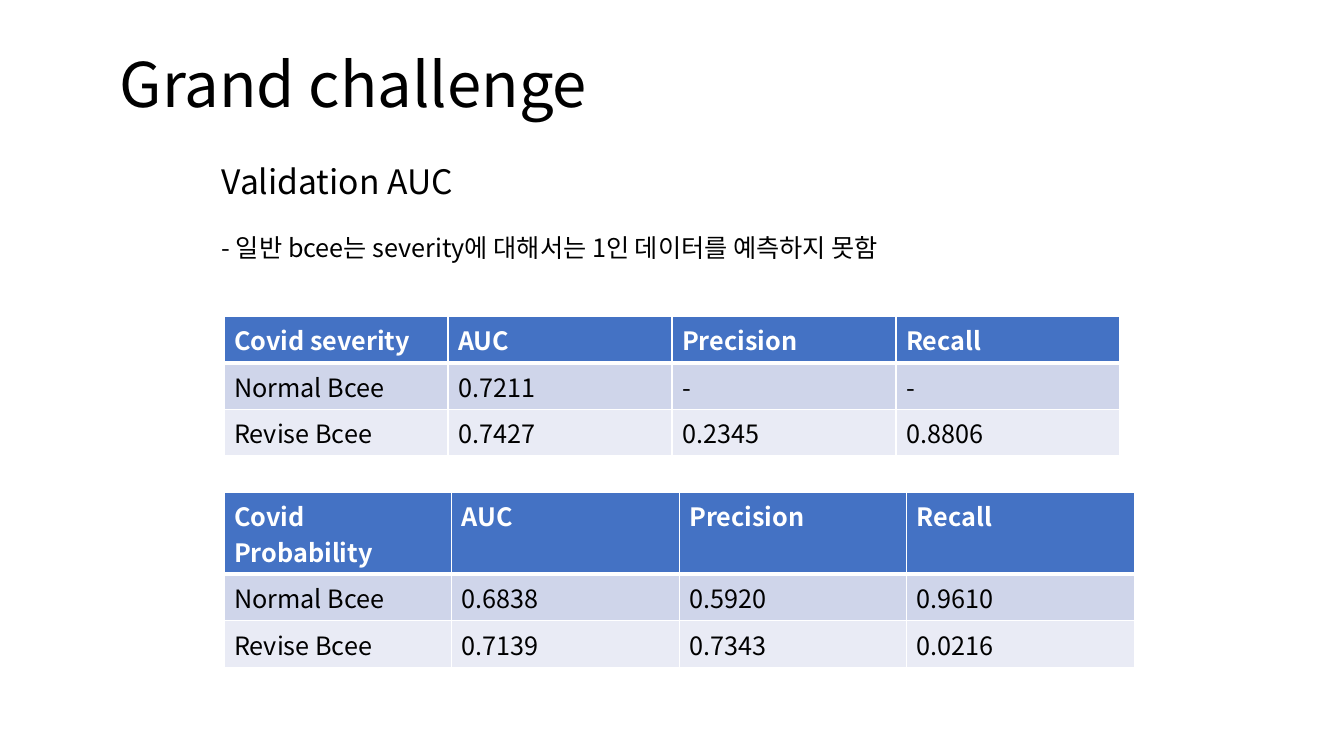
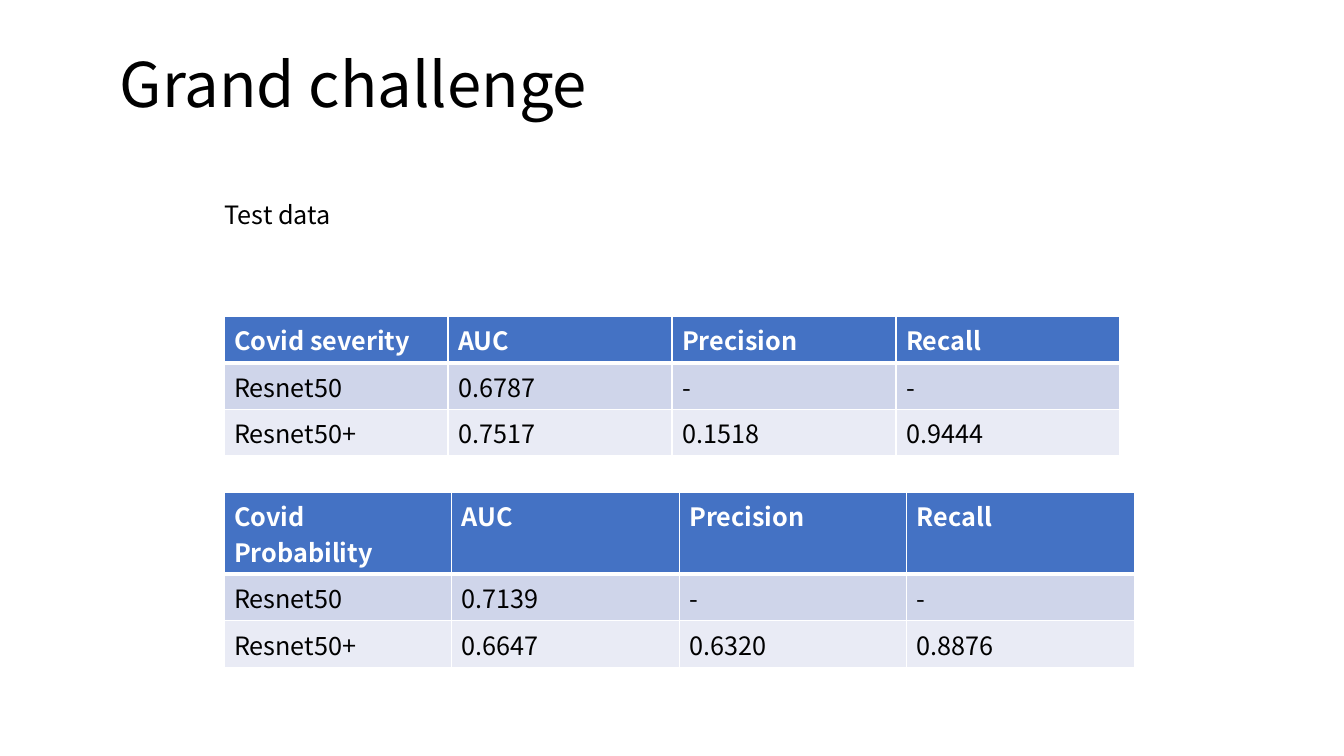
"""Build two result slides, each with a title, captions and two score tables."""
from dataclasses import dataclass
from typing import Any, NamedTuple

from lxml.etree import SubElement
from pptx import Presentation
from pptx.dml.color import RGBColor as Color
from pptx.enum.text import MSO_ANCHOR as Anchor
from pptx.oxml.ns import qn
from pptx.util import Inches, Pt


@dataclass(frozen=True)
class Theme:
    font: str = "Noto Sans CJK KR"
    ink: str = "000000"
    paper: str = "FFFFFF"
    header: str = "4472C4"
    bands: tuple[str, ...] = ("CFD5EA", "E9EBF5")
    title: int = 44
    heading: int = 24
    body: int = 18
    rule: int = 1
    header_rule: int = 3


class Frame(NamedTuple):
    """Left, top, width and height in percent of the slide."""
    left: float
    top: float
    width: float
    height: float


class Caption(NamedTuple):
    text: str
    frame: Frame
    size: int


class ScoreTable(NamedTuple):
    name: str
    frame: Frame
    scores: tuple[tuple[str, ...], ...]


class ResultSlide(NamedTuple):
    captions: tuple[Caption, ...]
    tables: tuple[ScoreTable, ...]


THEME = Theme()
WIDTH, HEIGHT = Inches(13.33), Inches(7.5)
SCORE_ROW = 6.15
TITLE = Caption("Grand challenge", Frame(8.18, 4.53, 37.43, 14.13), THEME.title)
MEASURES = ("AUC", "Precision", "Recall")
SEVERITY = ("Covid severity", Frame(16.67, 41.87, 66.67, 18.45))
PROBABILITY = ("Covid Probability", Frame(16.67, 65.07, 67.74, 23.2))
SLIDES = (
    ResultSlide(
        (Caption("Validation AUC", Frame(15.75, 20.67, 23.48, 6.67), THEME.heading),
         Caption("- 일반 bcee는 severity에 대해서는 1인 데이터를 예측하지 못함",
                 Frame(15.75, 30.13, 78.54, 5.33), THEME.body)),
        (ScoreTable(*SEVERITY, (("Normal Bcee", "0.7211", "-", "-"),
                                ("Revise Bcee", "0.7427", "0.2345", "0.8806"))),
         ScoreTable(*PROBABILITY, (("Normal Bcee", "0.6838", "0.5920", "0.9610"),
                                   ("Revise Bcee", "0.7139", "0.7343", "0.0216")))),
    ),
    ResultSlide(
        (Caption("Test data", Frame(15.98, 25.73, 13.13, 5.33), THEME.body),),
        (ScoreTable(*SEVERITY, (("Resnet50", "0.6787", "-", "-"),
                                ("Resnet50+", "0.7517", "0.1518", "0.9444"))),
         ScoreTable(*PROBABILITY, (("Resnet50", "0.7139", "-", "-"),
                                   ("Resnet50+", "0.6647", "0.6320", "0.8876")))),
    ),
)


def place(frame: Frame) -> tuple[int, ...]:
    """Turn percentages into slide lengths."""
    return tuple(round(share * side / 100)
                 for share, side in zip(frame, (WIDTH, HEIGHT) * 2))


def write(text_frame: Any, text: str, size: int, color: str, bold: bool = False) -> None:
    """Write one formatted run, with the font set for Korean as well."""
    run = text_frame.paragraphs[0].add_run()
    run.text = text
    formats = {"name": THEME.font, "size": Pt(size), "bold": bold}
    for attribute, value in formats.items():
        setattr(run.font, attribute, value)
    run.font.color.rgb = Color.from_string(color)
    SubElement(run.font._element, qn("a:ea"), typeface=THEME.font)


def add_caption(slide: Any, caption: Caption) -> Any:
    """Add a wrapped text box and return its text frame."""
    text_frame = slide.shapes.add_textbox(*place(caption.frame)).text_frame
    text_frame.word_wrap = True
    write(text_frame, caption.text, caption.size, THEME.ink)
    return text_frame


def add_title(slide: Any) -> None:
    """Add the shared title."""
    text_frame = add_caption(slide, TITLE)
    text_frame.vertical_anchor = Anchor.MIDDLE
    text_frame.paragraphs[0].line_spacing = 0.9


def add_borders(cell: Any, top: int, bottom: int) -> None:
    """Rule all four sides of a cell."""
    properties = cell._tc.get_or_add_tcPr()
    weights = {"L": THEME.rule, "R": THEME.rule, "T": top, "B": bottom}
    for side, weight in weights.items():
        line = SubElement(properties, qn(f"a:ln{side}"), w=str(Pt(weight)))
        fill = SubElement(line, qn("a:solidFill"))
        SubElement(fill, qn("a:srgbClr"), val=THEME.paper)


def add_score_table(slide: Any, score_table: ScoreTable) -> None:
    """Add a table whose header takes the height left by its banded score rows."""
    rows = ((score_table.name, *MEASURES), *score_table.scores)
    table = slide.shapes.add_table(
        len(rows), len(rows[0]), *place(score_table.frame)).table
    header_row = score_table.frame.height - SCORE_ROW * len(score_table.scores)
    for row, texts in enumerate(rows):
        is_header = row == 0
        share = header_row if is_header else SCORE_ROW
        table.rows[row].height = round(share * HEIGHT / 100)
        background = THEME.header if is_header else THEME.bands[(row - 1) % len(THEME.bands)]
        top = THEME.header_rule if row == 1 else THEME.rule
        bottom = THEME.header_rule if is_header else THEME.rule
        for column, text in enumerate(texts):
            cell = table.cell(row, column)
            add_borders(cell, top, bottom)
            cell.fill.solid()
            cell.fill.fore_color.rgb = Color.from_string(background)
            write(cell.text_frame, text, THEME.body,
                  THEME.paper if is_header else THEME.ink, is_header)


def main() -> None:
    """Build and save the presentation."""
    presentation = Presentation()
    presentation.slide_width, presentation.slide_height = WIDTH, HEIGHT
    for result in SLIDES:
        slide = presentation.slides.add_slide(presentation.slide_layouts[6])
        add_title(slide)
        for score_table in result.tables:
            add_score_table(slide, score_table)
        for caption in result.captions:
            add_caption(slide, caption)
    presentation.save("out.pptx")


if __name__ == "__main__":
    main()
